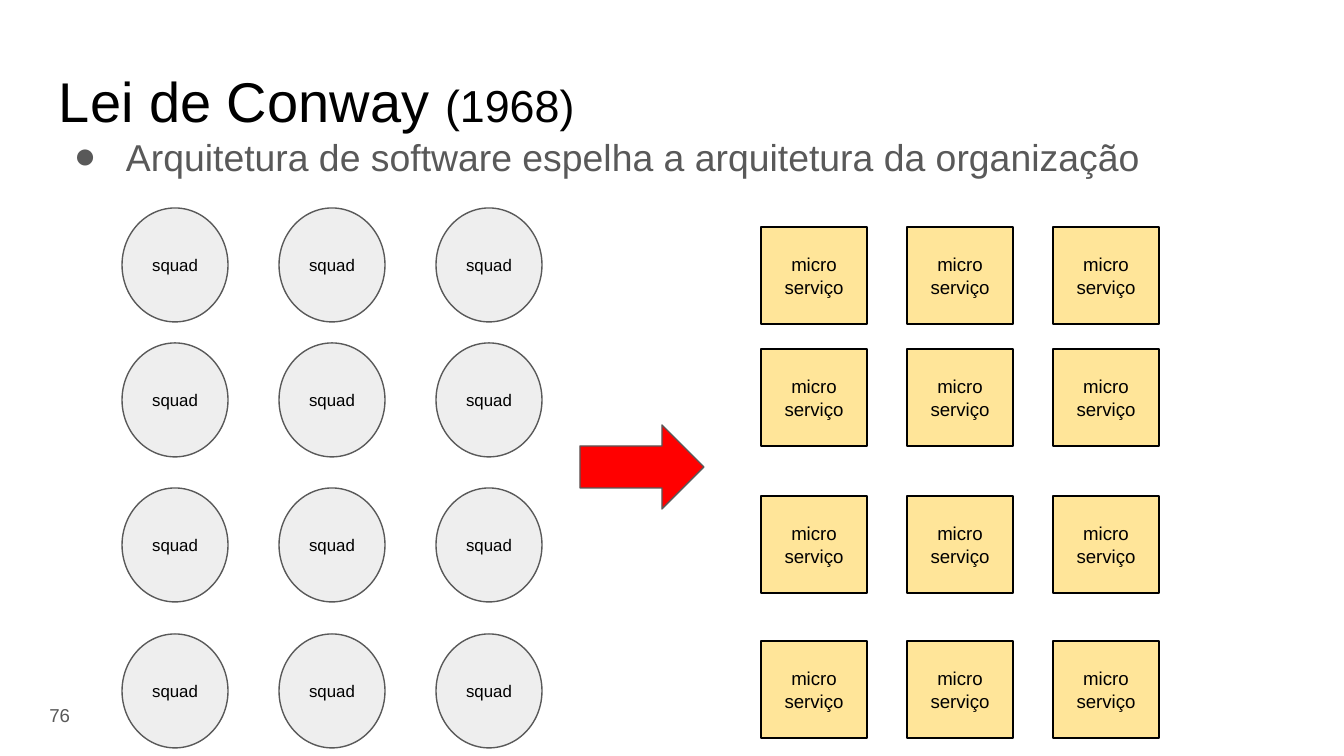
from lxml import etree
from pptx import Presentation
from pptx import util as u
from pptx.dml.color import RGBColor
from pptx.enum import shapes, text
from pptx.oxml.ns import qn

PX = 914400 / 134.4
BLACK = RGBColor(0x00, 0x00, 0x00)
GRAY = RGBColor(0x59, 0x59, 0x59)
SILVER = RGBColor(0xEE, 0xEE, 0xEE)
SAND = RGBColor(0xFF, 0xE5, 0x99)
RED = RGBColor(0xFF, 0x00, 0x00)
FONT = "Arial"
INSET = 13

TITLE = [("Lei de Conway ", 30), ("(1968)", 24)]
THESIS = [("Arquitetura de software espelha a arquitetura da organização", 20)]
PAGE = [("76", 10)]
ARROW = (580, 425, 124, 84)
GROUPS = [
    {"kind": shapes.MSO_SHAPE.OVAL, "words": ["squad"], "points": 9,
     "fill": SILVER, "line": GRAY, "left": 122, "pitch": 157,
     "tops": [208, 343, 488, 634], "size": (106, 114)},
    {"kind": shapes.MSO_SHAPE.RECTANGLE, "words": ["micro", "serviço"], "points": 10,
     "fill": SAND, "line": BLACK, "left": 761, "pitch": 146,
     "tops": [227, 349, 496, 641], "size": (106, 97)},
]
COLUMNS = 3


def px(length):
    """Turn px into EMU."""
    return u.Emu(round(length * PX))


def write(holder, lines, color, align, anchor):
    """Fill a text frame with lines of (words, points) runs."""
    frame = holder.text_frame
    frame.word_wrap = True
    frame.vertical_anchor = anchor
    frame.margin_left = frame.margin_right = px(INSET)
    frame.margin_top = frame.margin_bottom = px(INSET)
    for index, runs in enumerate(lines):
        paragraph = frame.add_paragraph() if index else frame.paragraphs[0]
        paragraph.alignment = align
        for words, points in runs:
            run = paragraph.add_run()
            run.text = words
            run.font.name = FONT
            run.font.size = u.Pt(points)
            run.font.color.rgb = color
    return frame.paragraphs[0]


def add_text(slide, box, runs, color, align=text.PP_ALIGN.LEFT, anchor=text.MSO_ANCHOR.TOP):
    """Add a one-paragraph text box."""
    holder = slide.shapes.add_textbox(*map(px, box))
    return write(holder, [runs], color, align, anchor)


def add_outlined(slide, kind, box, fill, line):
    """Add a flat preset shape with a thin outline."""
    shape = slide.shapes.add_shape(kind, *map(px, box))
    shape.shadow.inherit = False
    shape.fill.solid()
    shape.fill.fore_color.rgb = fill
    shape.line.color.rgb = line
    shape.line.width = u.Pt(0.75)
    return shape


def add_bullet(paragraph, indent, hang):
    """Give a paragraph a round gray bullet."""
    props = paragraph._p.get_or_add_pPr()
    props.set("marL", str(px(indent)))
    props.set("indent", str(-px(hang)))
    color = etree.SubElement(props, qn("a:buClr"))
    etree.SubElement(color, qn("a:srgbClr"), val=str(GRAY))
    etree.SubElement(props, qn("a:buFont"), typeface=FONT)
    etree.SubElement(props, qn("a:buChar"), char="●")


def add_group(slide, group):
    """Lay out one grid of equal shapes."""
    lines = [[(word, group["points"])] for word in group["words"]]
    for top in group["tops"]:
        for column in range(COLUMNS):
            box = (group["left"] + column * group["pitch"], top, *group["size"])
            shape = add_outlined(slide, group["kind"], box, group["fill"], group["line"])
            write(shape, lines, BLACK, text.PP_ALIGN.CENTER, text.MSO_ANCHOR.MIDDLE)


def main():
    """Build the slide."""
    deck = Presentation()
    deck.slide_width, deck.slide_height = px(1344), px(756)
    slide = deck.slides.add_slide(deck.slide_layouts[6])

    title = add_text(slide, (46, 43, 1252, 85), TITLE, BLACK)
    thesis = add_text(slide, (46, 114, 1280, 85), THESIS, GRAY)
    title.line_spacing = thesis.line_spacing = 1.15
    add_bullet(thesis, 67, 52)
    add_text(slide, (2, 686, 81, 58), PAGE, GRAY,
             text.PP_ALIGN.RIGHT, text.MSO_ANCHOR.MIDDLE)

    squads, services = GROUPS
    add_group(slide, squads)
    add_outlined(slide, shapes.MSO_SHAPE.RIGHT_ARROW, ARROW, RED, GRAY)
    add_group(slide, services)
    deck.save("out.pptx")


if __name__ == "__main__":
    main()
